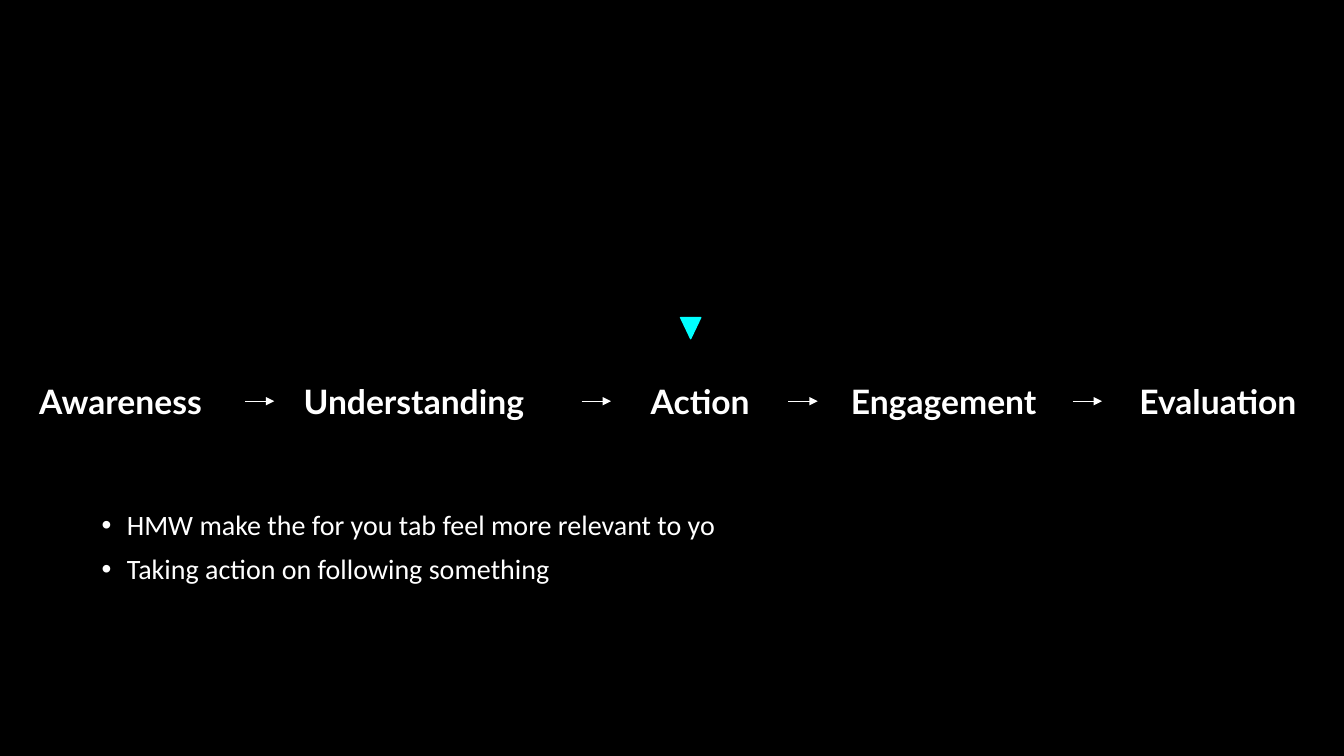
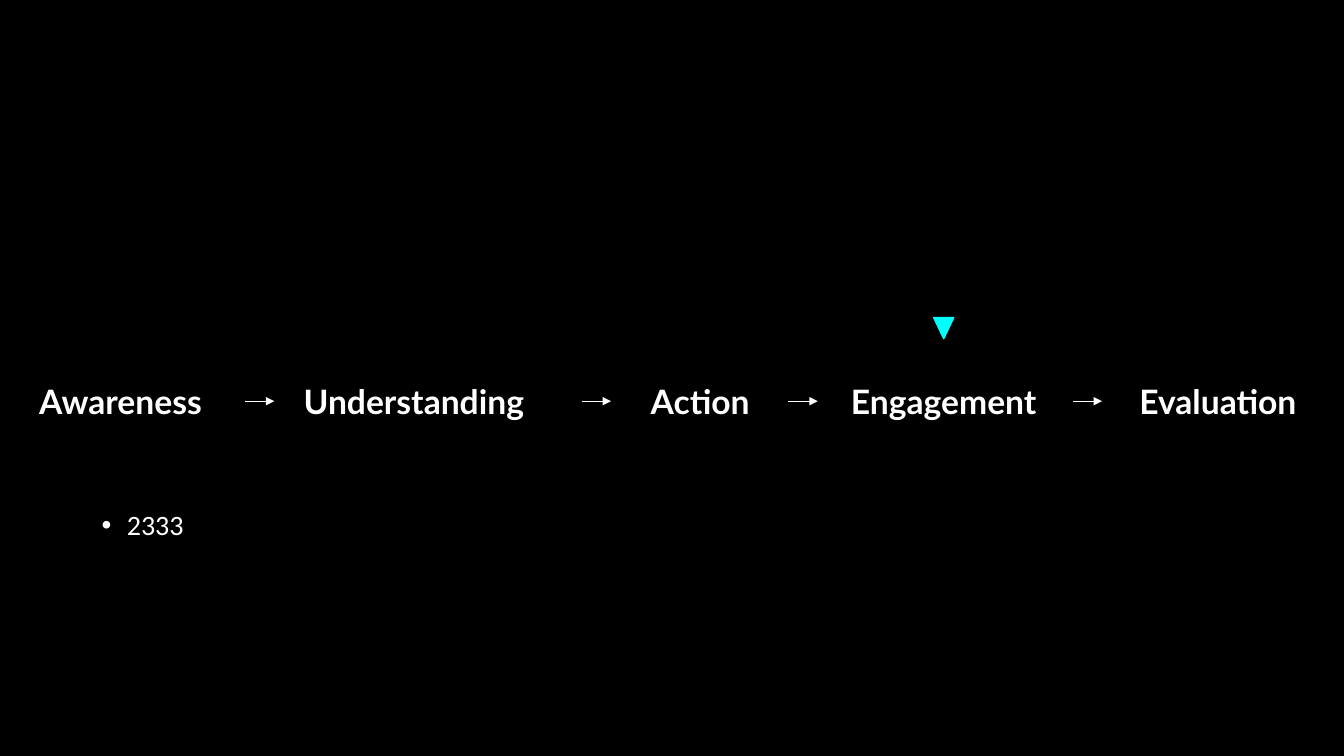
"""Build two slides of a five-stage journey with a marker on the current stage."""
from lxml import etree
from pptx import Presentation
from pptx import util as u
from pptx.dml.color import RGBColor
from pptx.enum import shapes, text
from pptx.oxml import ns

BLACK = RGBColor(0, 0, 0)
WHITE = RGBColor(255, 255, 255)
CYAN = RGBColor(0, 255, 255)

STAGES = [
    ("Awareness", 0.15, 2.09),
    ("Understanding ", 2.72, 2.85),
    ("Action", 6.06, 1.77),
    ("Engagement", 8.11, 2.5),
    ("Evaluation", 10.83, 2.5),
]
PAGES = [
    {"marker": 6.85, "notes": ["HMW make the for you tab feel more relevant to yo",
                               "Taking action on following something"]},
    {"marker": 9.36, "notes": ["2333"]},
]
STAGE_TOP, STAGE_HEIGHT = 3.73, 0.5
MIDDLE = STAGE_TOP + STAGE_HEIGHT / 2
ARROW_LENGTH = 0.29
LAST_ARROW_INSET = 0.1
MARKER_TOP, MARKER_WIDTH, MARKER_HEIGHT = 3.15, 0.2, 0.21


def add_box(page, left, top, width, height):
    box = page.shapes.add_textbox(*map(u.Inches, (left, top, width, height)))
    box.text_frame.word_wrap = True
    return box


def add_span(para, words, font, size, bold=False):
    span = para.add_run()
    span.text = words
    span.font.name, span.font.size, span.font.bold = font, u.Pt(size), bold
    span.font.color.rgb = WHITE


def add_stage(page, name, left, width):
    box = add_box(page, left, STAGE_TOP, width, STAGE_HEIGHT)
    box.text_frame.auto_size = text.MSO_AUTO_SIZE.SHAPE_TO_FIT_TEXT
    para = box.text_frame.paragraphs[0]
    para.alignment = text.PP_ALIGN.CENTER
    add_span(para, name, "Lato", 24, True)
    return box


def add_arrow(page, tip, target=None):
    ends = map(u.Inches, (tip - ARROW_LENGTH, MIDDLE, tip, MIDDLE))
    arrow = page.shapes.add_connector(shapes.MSO_CONNECTOR.STRAIGHT, *ends)
    arrow.line.color.rgb, arrow.line.width = WHITE, u.Pt(0.5)
    etree.SubElement(arrow.line._get_or_add_ln(), ns.qn("a:tailEnd"), type="triangle")
    etree.SubElement(arrow._element.spPr, ns.qn("a:effectLst"))
    if target is not None:
        arrow.end_connect(target, 1)


def add_journey(page):
    boxes = [add_stage(page, *stage) for stage in STAGES]
    for (_, left, _), box in zip(STAGES[1:-1], boxes[1:-1]):
        add_arrow(page, left, box)
    add_arrow(page, STAGES[-1][1] + LAST_ARROW_INSET)


def add_marker(page, center):
    place = (center - MARKER_WIDTH / 2, MARKER_TOP, MARKER_WIDTH, MARKER_HEIGHT)
    marker = page.shapes.add_shape(shapes.MSO_SHAPE.ISOSCELES_TRIANGLE, *map(u.Inches, place))
    marker.rotation = 180
    marker.shadow.inherit = False
    marker.fill.solid()
    marker.fill.fore_color.rgb = CYAN
    marker.line.color.rgb, marker.line.width = CYAN, u.Pt(1)


def add_notes(page, notes):
    frame = add_box(page, 0.91, 5.02, 11.5, 1.64).text_frame
    for index, note in enumerate(notes):
        para = frame.add_paragraph() if index else frame.paragraphs[0]
        para.line_spacing = 0.9
        para.space_before = u.Pt(10 if index else 0)
        props = para._p.get_or_add_pPr()
        props.set("marL", str(u.Inches(0.25)))
        props.set("indent", str(-u.Inches(0.25)))
        etree.SubElement(props, ns.qn("a:buFont"), typeface="Arial")
        etree.SubElement(props, ns.qn("a:buChar"), char="•")
        add_span(para, note, "Calibri", 20)


def main():
    deck = Presentation()
    deck.slide_width, deck.slide_height = u.Inches(13.33), u.Inches(7.5)
    backdrop = deck.slide_master.background.fill
    backdrop.solid()
    backdrop.fore_color.rgb = BLACK
    for content in PAGES:
        page = deck.slides.add_slide(deck.slide_layouts[6])
        add_journey(page)
        add_marker(page, content["marker"])
        add_notes(page, content["notes"])
    deck.save("out.pptx")


if __name__ == "__main__":
    main()
